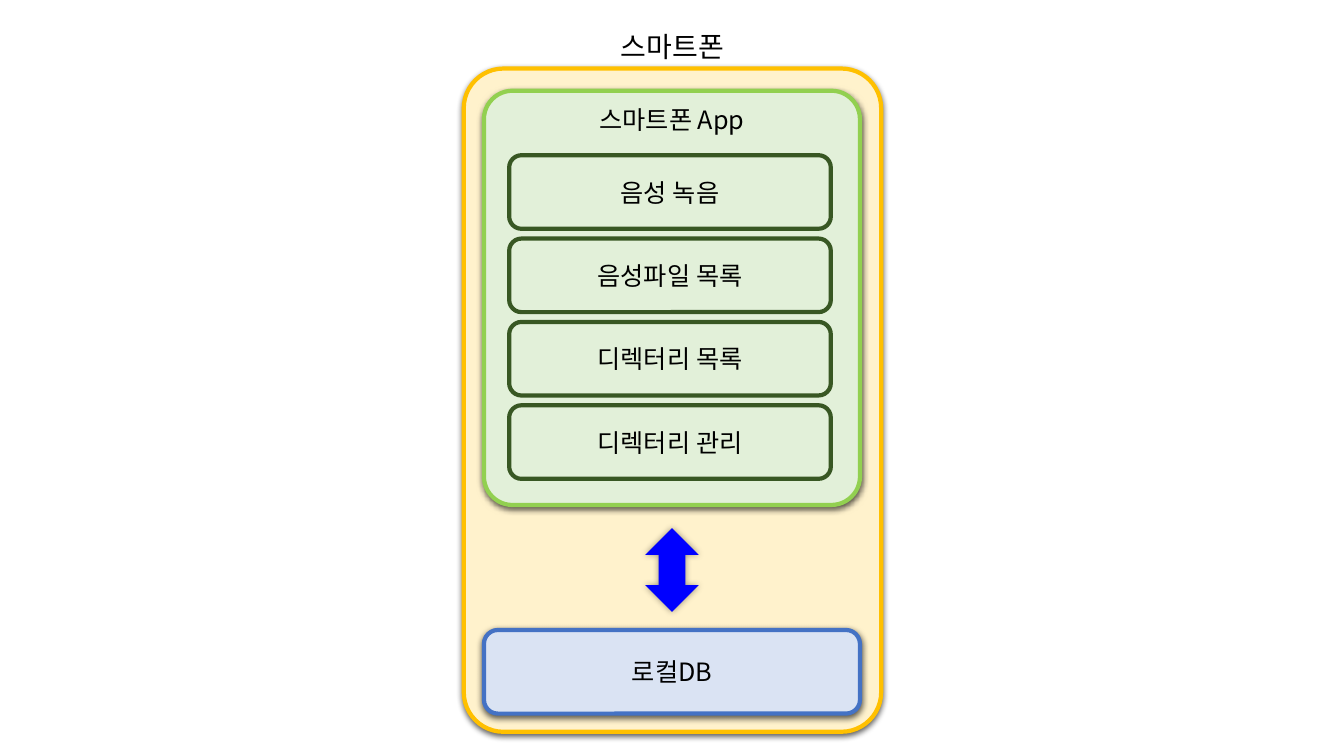
import pptx
import pptx.dml.color
import pptx.enum.shapes
import pptx.enum.text
import pptx.oxml
import pptx.oxml.ns
import pptx.util
from dataclasses import dataclass

Inches = pptx.util.Inches
Pt = pptx.util.Pt
SHAPE = pptx.enum.shapes.MSO_SHAPE
ANCHOR = pptx.enum.text.MSO_ANCHOR


@dataclass(frozen=True)
class Theme:
    font: str = "Noto Sans CJK KR"
    text: str = "000000"
    title_size: int = 20
    label_size: int = 18
    line_width: int = 3
    phone: tuple = ("FFF2CC", "FFC000")  # fill, line
    app: tuple = ("E2F0D9", "92D050")
    feature: tuple = (None, "385723")
    db: tuple = ("DAE3F3", "4472C4")
    arrow: tuple = ("0000FF", None)


THEME = Theme()
# Shadow: opacity %, blur pt, distance pt, direction in degrees
DROP = (63, 4.5, 1.5, 90)
GLOW = (40, 5, 0, 0)


def rgb(value):
    return pptx.dml.color.RGBColor.from_string(value)


def add_text(sp, text, size=THEME.label_size, anchor=ANCHOR.MIDDLE):
    tf = sp.text_frame
    tf.word_wrap = True
    tf.vertical_anchor = anchor
    p = tf.paragraphs[0]
    p.alignment = pptx.enum.text.PP_ALIGN.CENTER
    r = p.add_run()
    r.text = text
    r.font.size = Pt(size)
    r.font.name = THEME.font
    r.font.color.rgb = rgb(THEME.text)
    # Hangul takes the East Asian typeface
    ea = pptx.oxml.parse_xml(
        f'<a:ea {pptx.oxml.ns.nsdecls("a")} typeface="{THEME.font}"/>')
    r.font._element.find(pptx.oxml.ns.qn("a:latin")).addnext(ea)


def add_shadow(sp, opacity, blur, distance, direction):
    effects = sp._element.spPr.find(pptx.oxml.ns.qn("a:effectLst"))
    effects.append(pptx.oxml.parse_xml(
        f'<a:outerShdw {pptx.oxml.ns.nsdecls("a")} blurRad="{Pt(blur)}" '
        f'dist="{Pt(distance)}" dir="{direction * 60000}" rotWithShape="0">'
        f'<a:srgbClr val="000000"><a:alpha val="{opacity * 1000}"/></a:srgbClr>'
        '</a:outerShdw>'))


def add_block(slide, box, colors, kind=SHAPE.ROUNDED_RECTANGLE,
              corner=None, shadow=None):
    sp = slide.shapes.add_shape(kind, *map(Inches, box))
    sp.shadow.inherit = False
    fill, line = colors
    if fill:
        sp.fill.solid()
        sp.fill.fore_color.rgb = rgb(fill)
    else:
        sp.fill.background()
    if line:
        sp.line.color.rgb = rgb(line)
        sp.line.width = Pt(THEME.line_width)
    else:
        sp.line.fill.background()
    if corner is not None:
        sp.adjustments[0] = corner
    if shadow:
        add_shadow(sp, *shadow)
    return sp


def add_app(slide, box, title, features):
    """App panel with its stack of features."""
    left, top, _, _ = box
    sp = add_block(slide, box, THEME.app, corner=0.076, shadow=DROP)
    add_text(sp, title, anchor=ANCHOR.TOP)
    pitch = 0.827
    for i, feature in enumerate(features):
        row = (left + 0.25, top + 0.64 + i * pitch, 3.19, 0.73)
        add_text(add_block(slide, row, THEME.feature), feature)


def add_phone(slide, box):
    """Phone body: caption above, app and database inside."""
    left, top, width, _ = box
    add_block(slide, box, THEME.phone, corner=0.095, shadow=DROP)

    # Caption
    caption_w, caption_h = 2.39, 0.44
    tb = slide.shapes.add_textbox(
        Inches(left + (width - caption_w) / 2), Inches(top - caption_h),
        Inches(caption_w), Inches(caption_h))
    add_text(tb, "스마트폰", size=THEME.title_size, anchor=ANCHOR.TOP)

    # Local database
    inner_left, inner_w = left + 0.2, 3.73
    db = add_block(slide, (inner_left, top + 5.57, inner_w, 0.83),
                   THEME.db, shadow=DROP)
    add_text(db, "로컬DB")

    # App panel
    add_app(slide, (inner_left, top + 0.22, inner_w, 4.11), "스마트폰 App",
            ["음성 녹음", "음성파일 목록", "디렉터리 목록", "디렉터리 관리"])

    # Two-way data flow
    arrow_w = 0.53
    add_block(slide, (inner_left + (inner_w - arrow_w) / 2, top + 4.56,
                      arrow_w, 0.83),
              THEME.arrow, kind=SHAPE.UP_DOWN_ARROW, shadow=GLOW)


def main():
    prs = pptx.Presentation()
    prs.slide_width, prs.slide_height = Inches(13.33), Inches(7.5)
    slide = prs.slides.add_slide(prs.slide_layouts[6])
    add_phone(slide, (4.6, 0.68, 4.14, 6.58))
    prs.save("out.pptx")


if __name__ == "__main__":
    main()
